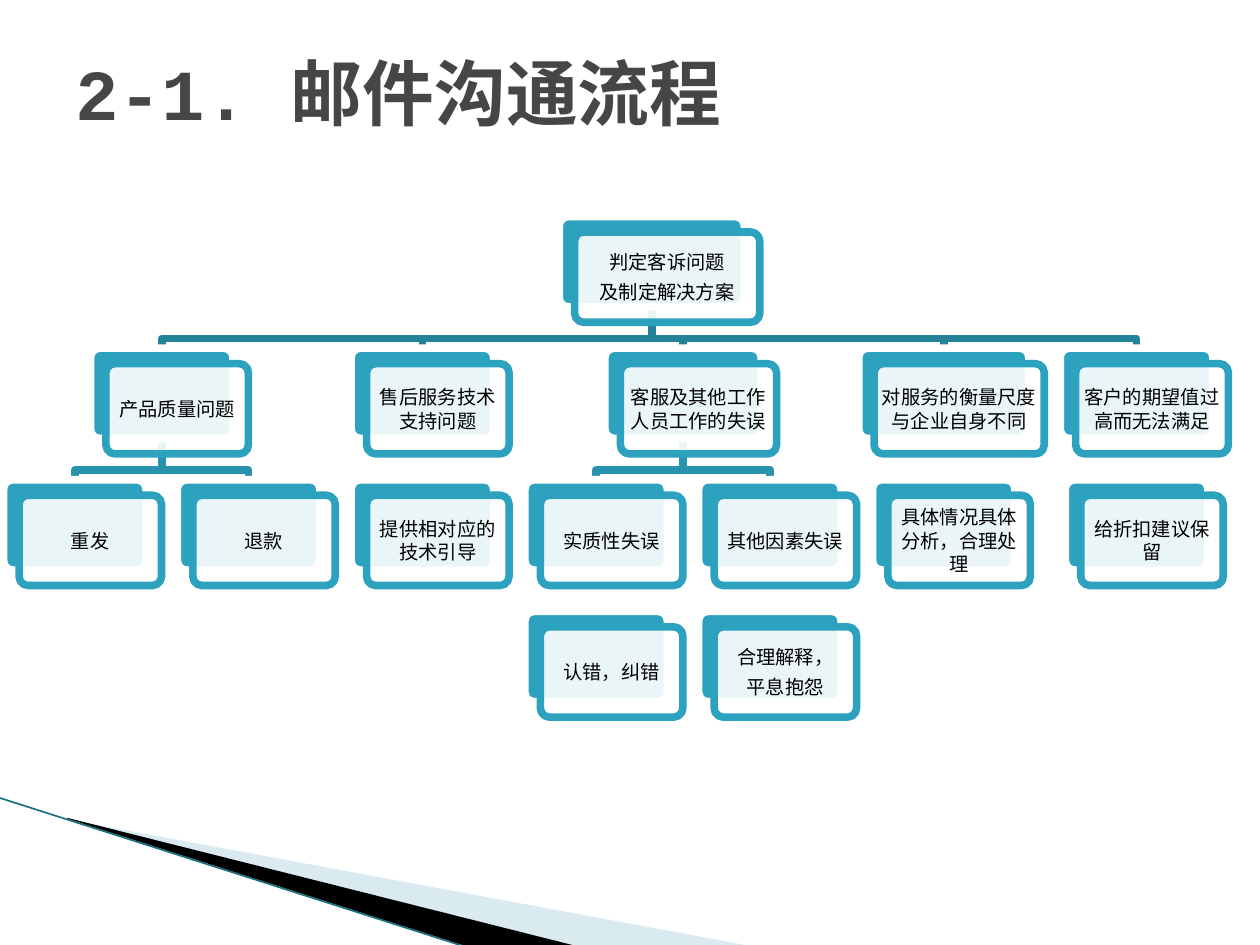
from dataclasses import dataclass, field

from lxml.etree import SubElement
from pptx import Presentation
from pptx.dml.color import RGBColor as Color
from pptx.enum.shapes import MSO_CONNECTOR as Connector, MSO_SHAPE as Shape
from pptx.enum.text import MSO_ANCHOR as Anchor, PP_ALIGN as Align
from pptx.oxml.ns import qn
from pptx.util import Pt


class Theme:
    font = "Courier New"
    title_size, card_size = 41, 11
    title = Color.from_string("464646")
    black = Color.from_string("000000")
    white = Color.from_string("FFFFFF")
    teal = Color.from_string("2DA2BF")
    trunk = Color.from_string("248299")
    branch = Color.from_string("2993AD")
    pale = Color.from_string("A0CBDC")
    edge = Color.from_string("1A7083")
    stroke, thin = 4.33, 0.95


# Flowchart grid
FIRST_CENTER, SLOT = 42.8, 99.3
TOP, ROW_STEP, CARD_HEIGHT = 123.8, 75.2, 51.6
CARD_WIDTH, CARD_SHIFT, BUS_DROP = 81.4, 8.8, 18


@dataclass
class Step:
    text: str
    slot: float
    width: float = CARD_WIDTH
    children: list = field(default_factory=list)

    @property
    def center(self):
        return FIRST_CENTER + SLOT * self.slot


FLOW = Step("判定客诉问题\n及制定解决方案", 3.32, 105.8, [
    Step("产品质量问题", 0.5, children=[Step("重发", 0), Step("退款", 1)]),
    Step("售后服务技术支持问题", 2, children=[Step("提供相对应的技术引导", 2)]),
    Step("客服及其他工作人员工作的失误", 3.5, 89.3, [
        Step("实质性失误", 3, children=[Step("认错，纠错", 3)]),
        Step("其他因素失误", 4, children=[Step("合理解释，\n平息抱怨", 4)]),
    ]),
    Step("对服务的衡量尺度与企业自身不同", 5, 97.2,
         [Step("具体情况具体分析，合理处理", 5)]),
    Step("客户的期望值过高而无法满足", 6.11, 87.3, [Step("给折扣建议保留", 6.11)]),
])


def row_top(level):
    return TOP + ROW_STEP * level


def set_opacity(shape, percent):
    color = shape.fill._xPr.find(qn("a:solidFill"))[0]
    SubElement(color, qn("a:alpha")).set("val", str(percent * 1000))


def fill_solid(shape, color, opacity=100):
    shape.fill.solid()
    shape.fill.fore_color.rgb = color
    if opacity < 100:
        set_opacity(shape, opacity)


def set_line(shape, color, width):
    shape.line.color.rgb = color
    shape.line.width = Pt(width)


def write_text(shape, text, size, color, inset, bold=False, align=Align.LEFT, after=0):
    frame = shape.text_frame
    frame.text = text
    frame.word_wrap = True
    frame.vertical_anchor = Anchor.MIDDLE
    frame.margin_left = frame.margin_right = Pt(inset)
    frame.margin_top = frame.margin_bottom = Pt(3.6)
    for para in frame.paragraphs:
        para.alignment = align
        para.space_after = Pt(after)
        for span in para.runs:
            span.font.name = Theme.font
            span.font.size = Pt(size)
            span.font.bold = bold
            span.font.color.rgb = color
            east_asian = SubElement(span.font._element, qn("a:ea"))
            east_asian.set("typeface", Theme.font)


def add_outline(page, points, close):
    points = [(Pt(x), Pt(y)) for x, y in points]
    builder = page.shapes.build_freeform(*points[0])
    builder.add_line_segments(points[1:], close=close)
    shape = builder.convert_to_shape()
    shape.shadow.inherit = False
    return shape


def add_wedge(page, points, color, opacity=100):
    wedge = add_outline(page, points, close=True)
    fill_solid(wedge, color, opacity)
    wedge.line.fill.background()


def add_elbow(page, parent, child, level):
    start = row_top(level) + CARD_HEIGHT
    bus = start + BUS_DROP
    elbow = add_outline(page, [
        (parent.center, start), (parent.center, bus),
        (child.center, bus), (child.center, row_top(level + 1)),
    ], close=False)
    elbow.fill.background()
    set_line(elbow, Theme.branch if level else Theme.trunk, Theme.stroke)


def add_round_box(page, left, top, width, fill, line, opacity=100):
    box = page.shapes.add_shape(Shape.ROUNDED_RECTANGLE, Pt(left), Pt(top),
                                Pt(width), Pt(CARD_HEIGHT))
    box.adjustments[0] = 0.1
    box.shadow.inherit = False
    fill_solid(box, fill, opacity)
    set_line(box, line, Theme.stroke)
    return box


def add_card(page, step, level):
    left, top = step.center - step.width / 2, row_top(level)
    add_round_box(page, left, top, step.width, Theme.teal, Theme.white)
    front = add_round_box(page, left + CARD_SHIFT, top + CARD_SHIFT, step.width,
                          Theme.white, Theme.teal, opacity=90)
    write_text(front, step.text, Theme.card_size, Theme.black, inset=2.1,
               align=Align.CENTER, after=3.85)


def add_elbows(page, step, level=0):
    for child in step.children:
        if child.slot != step.slot:
            add_elbow(page, step, child, level)
        add_elbows(page, child, level + 1)


def add_cards(page, step, level=0):
    add_card(page, step, level)
    for child in step.children:
        add_cards(page, child, level + 1)


def add_corner(page):
    add_wedge(page, [(39.6, 468.5), (428.4, 540.5), (328.3, 540.5), (39.6, 468)],
              Theme.pale, opacity=40)
    add_wedge(page, [(38.2, 467.3), (329, 540.5), (267.8, 541.2), (38.9, 468)],
              Theme.black)
    edge = page.shapes.add_connector(Connector.STRAIGHT, Pt(-0.7), Pt(455.8),
                                     Pt(267.1), Pt(541.4))
    set_line(edge, Theme.edge, Theme.thin)
    SubElement(edge._element.spPr, qn("a:effectLst"))


def add_title(page, text):
    box = page.shapes.add_textbox(Pt(36), Pt(21.6), Pt(618.5), Pt(61.2))
    write_text(box, text, Theme.title_size, Theme.title, inset=7.2, bold=True)


def main():
    deck = Presentation()
    deck.slide_width, deck.slide_height = Pt(720), Pt(540)
    page = deck.slides.add_slide(deck.slide_layouts[6])
    # Corner decoration
    add_corner(page)
    # Flowchart, with lines behind the cards
    add_elbows(page, FLOW)
    add_cards(page, FLOW)
    # Heading
    add_title(page, "2-1. 邮件沟通流程")
    deck.save("out.pptx")


if __name__ == "__main__":
    main()
